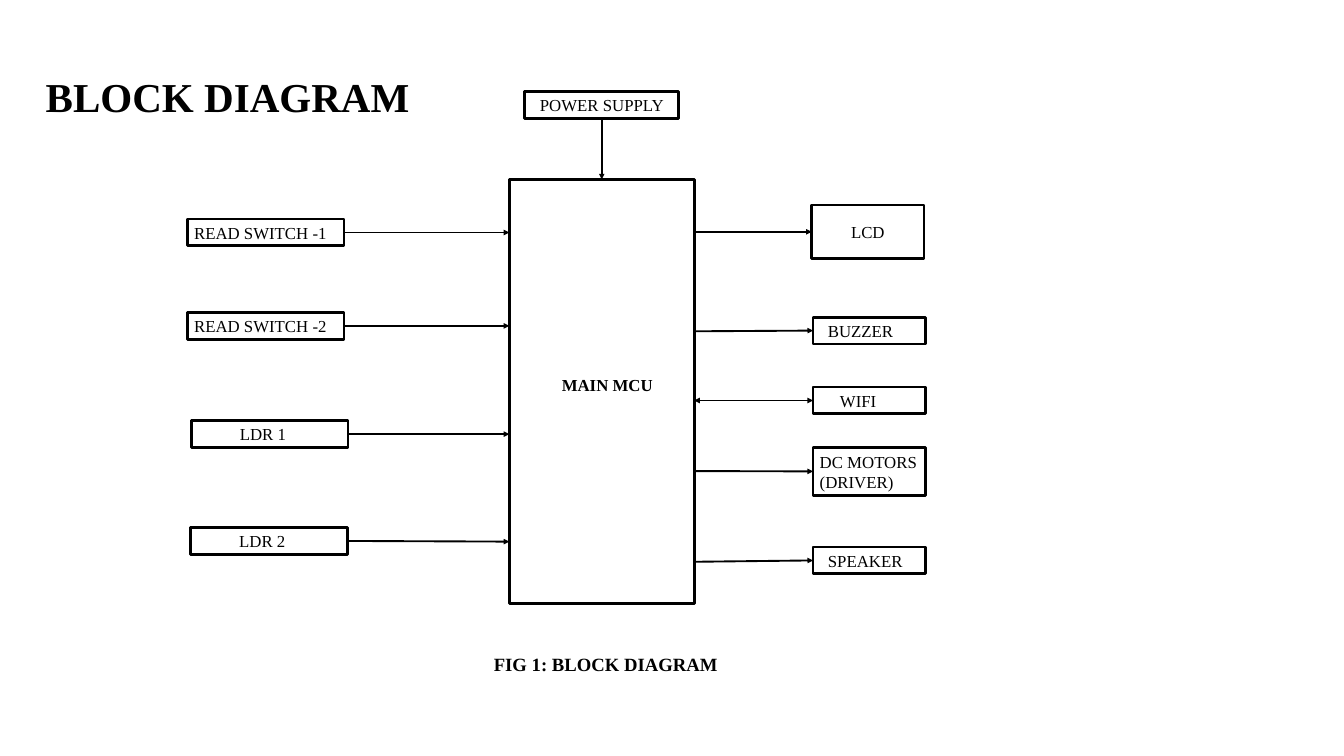
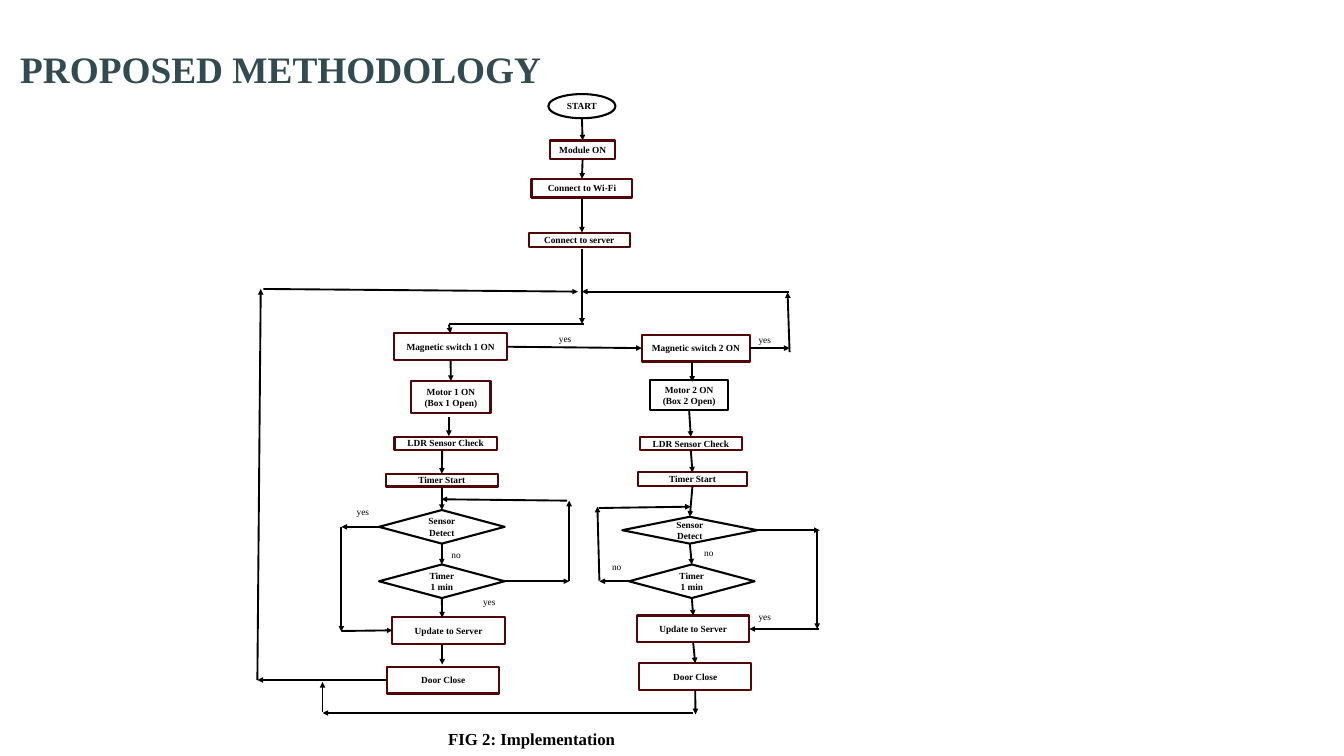
import itertools
import math
from dataclasses import dataclass

import lxml.etree
import pptx
import pptx.dml.color
import pptx.enum.shapes
import pptx.enum.text
import pptx.oxml.ns
import pptx.util

Inches = pptx.util.Inches
SHAPE = pptx.enum.shapes.MSO_SHAPE
ALIGN = pptx.enum.text.PP_ALIGN
ANCHOR = pptx.enum.text.MSO_ANCHOR

COLORS = {"ink": "000000", "heading": "324B50", "maroon": "510607"}
FONT = "Times New Roman"
TITLE_ONLY_LAYOUT = 5
JOIN_DISTANCE = 0.03


@dataclass(frozen=True)
class TextStyle:
    size: float
    bold: bool = False
    color: str = "ink"


@dataclass(frozen=True)
class Caption:
    text: str
    left: float
    top: float
    width: float
    height: float
    style: TextStyle


@dataclass(frozen=True)
class Block:
    text: str
    left: float
    top: float
    width: float
    height: float
    style: TextStyle
    border: str = "ink"
    weight: float = 2.25
    kind: SHAPE = SHAPE.RECTANGLE
    align: ALIGN = ALIGN.CENTER
    indent: float = 0.1
    right_margin: float = 0.1
    lift: float = 0

    def sides(self) -> list[tuple[float, float]]:
        middle_x = self.left + self.width / 2
        middle_y = self.top + self.height / 2
        return [
            (middle_x, self.top),
            (self.left, middle_y),
            (middle_x, self.top + self.height),
            (self.left + self.width, middle_y),
        ]


@dataclass(frozen=True)
class Arrow:
    start_x: float
    start_y: float
    end_x: float
    end_y: float
    head: bool = False
    tail: bool = True


LABEL = TextStyle(18)
LABEL_BOLD = TextStyle(18, bold=True)
STEP = TextStyle(10, bold=True)
ANSWER = TextStyle(10)


def device(text: str, left: float, top: float, width: float, height: float = 0.4,
           indent: float = 0.1, style: TextStyle = LABEL, lift: float = 0,
           align: ALIGN = ALIGN.LEFT) -> Block:
    return Block(text, left, top, width, height, style, weight=3, align=align,
                 indent=indent, lift=lift)


def step(text: str, left: float, top: float, width: float, height: float = 0.4,
         border: str = "maroon") -> Block:
    return Block(text, left, top, width, height, STEP, border)


def decision(text: str, left: float, top: float, width: float = 1.87,
             height: float = 0.5) -> Block:
    return Block(text, left, top, width, height, STEP, kind=SHAPE.FLOWCHART_DECISION,
                 indent=0.15, right_margin=0.15)


def answer(text: str, left: float, top: float) -> Caption:
    return Caption(text, left, top, 0.6, 0.27, ANSWER)


SWITCH_WIDTH = 2.33
OUTPUT_LEFT, OUTPUT_WIDTH = 12.1, 1.67
MCU_LEFT, MCU_RIGHT = 7.58, 10.33

DIAGRAM_TITLE = Caption("BLOCK DIAGRAM", 0.58, 1.01, 6.17, 0.84, TextStyle(44, bold=True))
DIAGRAM_BLOCKS = [
    device("MAIN MCU", MCU_LEFT, 2.67, 2.75, 6.31, 0.78, LABEL_BOLD, lift=0.19),
    device("POWER SUPPLY", 7.81, 1.36, 2.29, align=ALIGN.CENTER),
    device("READ SWITCH -1", 2.79, 3.26, SWITCH_WIDTH),
    device("READ SWITCH -2", 2.79, 4.65, SWITCH_WIDTH),
    device("LDR 1", 2.85, 6.26, SWITCH_WIDTH, indent=0.72),
    device("LDR 2", 2.84, 7.85, SWITCH_WIDTH, indent=0.72),
    device("LCD", 12.08, 3.05, OUTPUT_WIDTH, 0.8, align=ALIGN.CENTER),
    device("BUZZER", OUTPUT_LEFT, 4.72, OUTPUT_WIDTH, indent=0.22),
    device("WIFI", OUTPUT_LEFT, 5.76, OUTPUT_WIDTH, indent=0.4),
    device("DC MOTORS (DRIVER)", OUTPUT_LEFT, 6.66, OUTPUT_WIDTH, 0.71),
    device("SPEAKER", OUTPUT_LEFT, 8.14, OUTPUT_WIDTH, indent=0.22),
]
DIAGRAM_ARROWS = [
    Arrow(8.96, 1.76, 8.96, 2.67),
    Arrow(5.12, 3.46, MCU_LEFT, 3.46),
    Arrow(5.12, 4.85, MCU_LEFT, 4.85),
    Arrow(5.18, 6.46, MCU_LEFT, 6.46),
    Arrow(5.17, 8.05, MCU_LEFT, 8.06),
    Arrow(MCU_RIGHT, 3.45, 12.08, 3.45),
    Arrow(MCU_RIGHT, 4.93, OUTPUT_LEFT, 4.92),
    Arrow(MCU_RIGHT, 5.96, OUTPUT_LEFT, 5.96, head=True),
    Arrow(MCU_RIGHT, 7.01, OUTPUT_LEFT, 7.01),
    Arrow(MCU_RIGHT, 8.36, OUTPUT_LEFT, 8.34),
]
DIAGRAM_CAPTIONS = [
    Caption("FIG 1: BLOCK DIAGRAM", 7.25, 9.66, 4.08, 0.44, TextStyle(20, bold=True)),
]

METHOD_TITLE = Caption("PROPOSED METHODOLOGY", 0.2, 0.64, 8.58, 0.77,
                       TextStyle(40, bold=True, color="heading"))
METHOD_BLOCKS = [
    Block("START", 8.16, 1.4, 1, 0.36, STEP, kind=SHAPE.OVAL),
    step("Module ON", 8.19, 2.09, 0.96, 0.28),
    step("Connect to Wi-Fi", 7.91, 2.66, 1.5, 0.28),
    step("Connect to server", 7.87, 3.47, 1.5, 0.2),
    step("Magnetic switch 1 ON", 5.87, 4.96, 1.67),
    step("Motor 1 ON (Box 1 Open)", 6.12, 5.67, 1.18, 0.48),
    step("LDR Sensor Check", 5.87, 6.5, 1.52, 0.19),
    step("Timer Start", 5.74, 7.05, 1.67, 0.19),
    decision("Sensor Detect", 5.64, 7.59),
    decision("Timer\n1 min", 5.64, 8.4),
    step("Update to Server", 5.84, 9.18, 1.67),
    step("Door Close", 5.76, 9.92, 1.67),
    step("Magnetic switch 2 ON", 9.55, 4.98, 1.61),
    step("Motor 2 ON (Box 2 Open)", 9.67, 5.66, 1.17, 0.44, border="ink"),
    step("LDR Sensor Check", 9.52, 6.5, 1.52, 0.2),
    step("Timer Start", 9.5, 7.03, 1.61, 0.2),
    decision("Sensor Detect", 9.26, 7.69, 2.01, 0.4),
    decision("Timer\n1 min", 9.36, 8.4),
    step("Update to Server", 9.48, 9.16, 1.67),
    step("Door Close", 9.51, 9.87, 1.67),
]
START_ARROWS = [
    Arrow(8.66, 1.76, 8.66, 2.09),
    Arrow(8.66, 2.37, 8.66, 2.66),
    Arrow(8.66, 2.94, 8.66, 3.46),
    Arrow(8.66, 3.71, 8.66, 4.82),
    Arrow(8.69, 4.82, 6.68, 4.82, tail=False),
    Arrow(6.68, 4.83, 6.68, 4.96),
    Arrow(7.55, 5.17, 9.55, 5.18),
]
FIRST_BOX_ARROWS = [
    Arrow(6.71, 5.37, 6.71, 5.67),
    Arrow(6.68, 6.2, 6.68, 6.49),
    Arrow(6.58, 6.71, 6.58, 7.05),
    Arrow(6.58, 7.24, 6.58, 7.59),
    Arrow(6.58, 8.1, 6.58, 8.4),
    Arrow(6.58, 8.9, 6.58, 9.19),
    Arrow(6.58, 9.59, 6.58, 9.89),
    Arrow(7.51, 8.65, 8.47, 8.65),
    Arrow(8.47, 8.64, 8.47, 7.45),
    Arrow(8.44, 7.45, 6.57, 7.43),
    Arrow(5.64, 7.84, 5.08, 7.84),
    Arrow(5.08, 7.84, 5.08, 9.4),
    Arrow(5.08, 9.39, 5.84, 9.39),
    Arrow(5.76, 10.12, 3.83, 10.12),
    Arrow(3.83, 10.12, 3.88, 4.3),
    Arrow(3.92, 4.3, 8.6, 4.34),
]
SECOND_BOX_ARROWS = [
    Arrow(11.16, 5.18, 11.75, 5.18),
    Arrow(11.75, 5.24, 11.72, 4.35),
    Arrow(11.74, 4.34, 8.66, 4.34),
    Arrow(10.3, 5.39, 10.3, 5.68),
    Arrow(10.25, 6.1, 10.28, 6.5),
    Arrow(10.28, 6.71, 10.3, 7.03),
    Arrow(10.3, 7.23, 10.26, 7.69),
    Arrow(10.27, 8.1, 10.27, 8.4),
    Arrow(10.3, 8.9, 10.32, 9.16),
    Arrow(10.33, 9.56, 10.33, 9.86),
    Arrow(9.36, 8.65, 8.92, 8.65),
    Arrow(8.92, 8.64, 8.89, 7.54),
    Arrow(8.91, 7.56, 10.28, 7.54),
    Arrow(11.25, 7.89, 12.2, 7.89),
    Arrow(12.16, 7.89, 12.16, 9.36),
    Arrow(12.19, 9.36, 11.16, 9.36),
    Arrow(10.35, 10.27, 10.35, 10.63),
    Arrow(10.32, 10.61, 4.8, 10.61),
    Arrow(4.8, 10.59, 4.8, 10.15),
]
METHOD_CAPTIONS = [
    answer("yes", 8.22, 4.91),
    answer("yes", 11.19, 4.93),
    answer("yes", 5.21, 7.48),
    answer("no", 6.62, 8.12),
    answer("yes", 7.09, 8.83),
    answer("no", 9.01, 8.3),
    answer("no", 10.38, 8.1),
    answer("yes", 11.19, 9.05),
    Caption("FIG 2: Implementation", 6.57, 10.8, 3.67, 0.4, LABEL_BOLD),
]


def rgb(name: str) -> pptx.dml.color.RGBColor:
    return pptx.dml.color.RGBColor.from_string(COLORS[name])


def write(frame, text: str, style: TextStyle, align: ALIGN, anchor: ANCHOR) -> None:
    frame.word_wrap = True
    frame.auto_size = pptx.enum.text.MSO_AUTO_SIZE.NONE
    frame.vertical_anchor = anchor
    for index, line in enumerate(text.split("\n")):
        para = frame.add_paragraph() if index else frame.paragraphs[0]
        para.alignment = align
        span = para.add_run()
        span.text = line
        span.font.name = FONT
        span.font.size = pptx.util.Pt(style.size)
        span.font.bold = style.bold
        span.font.color.rgb = rgb(style.color)


def add_title(page, title: Caption) -> None:
    box = page.shapes.title
    box.left, box.top = Inches(title.left), Inches(title.top)
    box.width, box.height = Inches(title.width), Inches(title.height)
    write(box.text_frame, title.text, title.style, ALIGN.LEFT, ANCHOR.TOP)


def add_caption(page, caption: Caption) -> None:
    box = page.shapes.add_textbox(Inches(caption.left), Inches(caption.top),
                                  Inches(caption.width), Inches(caption.height))
    write(box.text_frame, caption.text, caption.style, ALIGN.LEFT, ANCHOR.TOP)


def add_block(page, block: Block):
    box = page.shapes.add_shape(block.kind, Inches(block.left), Inches(block.top),
                                Inches(block.width), Inches(block.height))
    box.shadow.inherit = False
    box.fill.background()
    box.line.color.rgb = rgb(block.border)
    box.line.width = pptx.util.Pt(block.weight)
    frame = box.text_frame
    frame.margin_left = Inches(block.indent)
    frame.margin_right = Inches(block.right_margin)
    frame.margin_bottom = Inches(0.05 + block.lift)
    write(frame, block.text, block.style, block.align, ANCHOR.MIDDLE)
    return box


def join(connect, point: tuple[float, float], boxes: list) -> None:
    for block, box in boxes:
        if block.kind == SHAPE.OVAL:
            continue
        for site, side in enumerate(block.sides()):
            if math.dist(point, side) <= JOIN_DISTANCE:
                connect(box, site)
                return


def add_arrow(page, arrow: Arrow, boxes: list) -> None:
    start, end = (arrow.start_x, arrow.start_y), (arrow.end_x, arrow.end_y)
    connector = page.shapes.add_connector(pptx.enum.shapes.MSO_CONNECTOR.STRAIGHT,
                                          *map(Inches, start + end))
    join(connector.begin_connect, start, boxes)
    join(connector.end_connect, end, boxes)
    connector.line.color.rgb = rgb("ink")
    connector.line.width = pptx.util.Pt(2)
    properties = connector._element.spPr
    outline = properties.find(pptx.oxml.ns.qn("a:ln"))
    for tag, shown in (("a:headEnd", arrow.head), ("a:tailEnd", arrow.tail)):
        if shown:
            lxml.etree.SubElement(outline, pptx.oxml.ns.qn(tag), type="triangle")
    lxml.etree.SubElement(properties, pptx.oxml.ns.qn("a:effectLst"))


def add_page(deck, title: Caption, blocks: list[Block], arrows: list[Arrow],
             captions: list[Caption]) -> None:
    page = deck.slides.add_slide(deck.slide_layouts[TITLE_ONLY_LAYOUT])
    add_title(page, title)
    boxes = [(block, add_block(page, block)) for block in blocks]
    for arrow in arrows:
        add_arrow(page, arrow, boxes)
    for caption in captions:
        add_caption(page, caption)


def main() -> None:
    deck = pptx.Presentation()
    deck.slide_width, deck.slide_height = Inches(20), Inches(11.25)
    add_page(deck, DIAGRAM_TITLE, DIAGRAM_BLOCKS, DIAGRAM_ARROWS, DIAGRAM_CAPTIONS)
    method_arrows = list(itertools.chain(START_ARROWS, FIRST_BOX_ARROWS, SECOND_BOX_ARROWS))
    add_page(deck, METHOD_TITLE, METHOD_BLOCKS, method_arrows, METHOD_CAPTIONS)
    deck.save("out.pptx")


if __name__ == "__main__":
    main()
